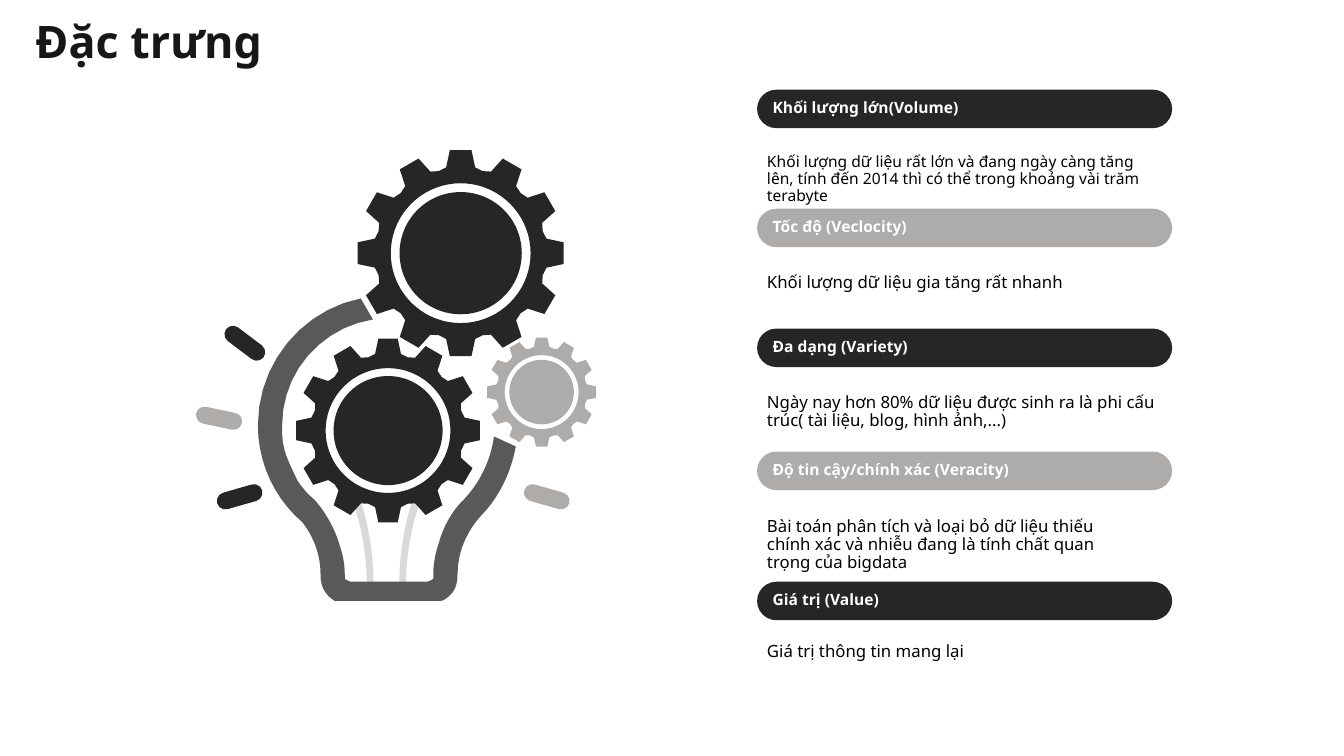
from math import cos, pi, sin

from pptx import Presentation
from pptx.dml.color import RGBColor
from pptx.enum.shapes import MSO_SHAPE as SHAPE
from pptx.enum.text import MSO_ANCHOR as ANCHOR, MSO_AUTO_SIZE as AUTO, PP_ALIGN as ALIGN
from pptx.util import Cm, Pt

FONT = "Noto Sans"
WHITE = RGBColor(0xFF, 0xFF, 0xFF)
BLACK = RGBColor(0x00, 0x00, 0x00)
INK = RGBColor(0x18, 0x17, 0x17)
DARK = RGBColor(0x26, 0x26, 0x26)
MID = RGBColor(0x59, 0x59, 0x59)
SILVER = RGBColor(0xAE, 0xAB, 0xAB)
PALE = RGBColor(0xD9, 0xD9, 0xD9)

# Heading, heading top, text, text top, text width, text size
FEATURES = [
    ("Khối lượng lớn(Volume)", 0,
     "Khối lượng dữ liệu rất lớn và đang ngày càng tăng lên, "
     "tính đến 2014 thì có thể trong khoảng vài trăm terabyte", 1.5, 10.46, 11.1),
    ("Tốc độ (Veclocity)", 3,
     "Khối lượng dữ liệu gia tăng rất nhanh", 4.52, 10.46, 12),
    ("Đa dạng (Variety)", 6.02,
     "Ngày nay hơn 80% dữ liệu được sinh ra là phi cấu trúc"
     "( tài liệu, blog, hình ảnh,...)", 7.54, 10.46, 12),
    ("Độ tin cậy/chính xác (Veracity)", 9.12,
     "Bài toán phân tích và loại bỏ dữ liệu thiếu chính xác và nhiễu "
     "đang là tính chất quan trọng của bigdata", 10.67, 9.7, 12),
    ("Giá trị (Value)", 12.4, "Giá trị thông tin mang lại", 13.82, 9.7, 12),
]

# Outlines in cm: two numbers are a corner, six are a Bézier curve
FILAMENT = [
    (4.42, 11.81), (4.25, 11.81), (4.25, 10.34, 3.81, 9.45, 3.79, 9.42),
    (3.97, 9.34), (3.99, 9.37, 4.42, 10.28, 4.42, 11.81),
]
BULB = [
    # Inner edge, from the right tip round to the left tip
    (7.45, 8), (7.37, 8.61, 7.09, 9.17, 6.68, 9.6), (6.63, 9.65),
    (6.53, 9.75, 6.2, 10.13, 6.05, 10.72), (5.97, 10.94, 5.92, 11.22, 5.92, 11.5),
    (5.92, 11.58), (5.9, 11.61, 5.85, 11.63, 5.77, 11.66), (3.84, 11.66),
    (3.76, 11.63, 3.71, 11.61, 3.69, 11.58), (3.69, 11.5),
    (3.69, 11.22, 3.64, 10.97, 3.56, 10.74), (3.43, 10.28, 3.2, 9.95, 3.08, 9.78),
    (2.95, 9.62), (2.85, 9.52, 2.75, 9.45, 2.67, 9.34),
    (2.57, 9.22, 2.49, 9.12, 2.44, 8.99), (2.32, 8.73, 2.19, 8.48, 2.14, 8.2),
    (2.11, 8.05, 2.11, 7.87, 2.11, 7.72), (2.11, 6.37, 3.1, 5.26, 4.4, 5.05),
    # Outer edge, back to the right tip
    (4.09, 4.52), (2.62, 4.82, 1.5, 6.14, 1.5, 7.72),
    (1.5, 8.68, 1.93, 9.57, 2.62, 10.16), (2.8, 10.39, 3.08, 10.84, 3.08, 11.48),
    (3.08, 11.63, 3.1, 11.81, 3.23, 11.96), (3.28, 12.04, 3.36, 12.09, 3.43, 12.14),
    (6.13, 12.14), (6.23, 12.11, 6.3, 12.04, 6.38, 11.96),
    (6.51, 11.81, 6.53, 11.63, 6.53, 11.48), (6.53, 10.61, 7.07, 10.06, 7.12, 10),
    (7.57, 9.55, 7.88, 8.91, 8, 8.25),
]
# Centre x, centre y, radius, colour
GEARS = [(6.61, 3.38, 2.61, DARK), (4.78, 7.85, 2.33, DARK), (8.65, 6.88, 1.38, SILVER)]
# Centre x, centre y, angle, colour
RAYS = [(1.17, 5.65, 37, DARK), (0.52, 7.54, 12, SILVER),
        (1.04, 9.52, -16, DARK), (8.78, 9.52, 16, SILVER)]


def write(sp, text, size=12, color=BLACK, bold=False, anchor=ANCHOR.TOP):
    tf = sp.text_frame
    tf.word_wrap = True
    tf.auto_size = AUTO.NONE
    tf.vertical_anchor = anchor
    p = tf.paragraphs[0]
    p.alignment = ALIGN.LEFT
    p.line_spacing = 0.9
    r = p.add_run()
    r.text = text
    r.font.name, r.font.size, r.font.bold = FONT, Pt(size), bold
    r.font.color.rgb = color


def paint(sp, color):
    sp.shadow.inherit = False
    sp.fill.solid()
    sp.fill.fore_color.rgb = color
    sp.line.fill.background()
    return sp


def add_preset(slide, kind, x, y, w, h, color):
    return paint(slide.shapes.add_shape(kind, Cm(x), Cm(y), Cm(w), Cm(h)), color)


def trace(outline, steps=10):
    """Turn corners and Bézier curves into points."""
    points = []
    for part in outline:
        if len(part) == 2:
            points.append(part)
            continue
        x0, y0 = points[-1]
        x1, y1, x2, y2, x3, y3 = part
        for i in range(1, steps + 1):
            t = i / steps
            u = 1 - t
            a, b, c, d = u ** 3, 3 * u * u * t, 3 * u * t * t, t ** 3
            points.append((a * x0 + b * x1 + c * x2 + d * x3,
                           a * y0 + b * y1 + c * y2 + d * y3))
    return points


def add_outline(slide, left, top, contours, color):
    placed = [[(Cm(left + x), Cm(top + y)) for x, y in c] for c in contours]
    fb = slide.shapes.build_freeform(*placed[0][0])
    for i, points in enumerate(placed):
        if i:
            fb.move_to(*points[0])
        fb.add_line_segments(points[1:], close=True)
    paint(fb.convert_to_shape(), color)


def polar(cx, cy, radius, degrees):
    a = degrees * pi / 180
    return cx + radius * sin(a), cy - radius * cos(a)


def add_gear(slide, left, top, cx, cy, radius, color, teeth=12):
    profile = [(-9.6, 0.84), (-6, 1), (6, 1), (9.6, 0.84), (15, 0.82)]
    rim = [polar(cx, cy, radius * k, tooth * 360 / teeth + a)
           for tooth in range(teeth) for a, k in profile]
    hole = [polar(cx, cy, radius * 0.675, -a) for a in range(0, 360, 5)]
    add_outline(slide, left, top, [rim, hole], color)
    hub = radius * 0.59
    add_preset(slide, SHAPE.OVAL, left + cx - hub, top + cy - hub, 2 * hub, 2 * hub, color)


def add_lamp(slide, left, top):
    # Filaments, the right one mirrored
    wire = trace(FILAMENT)
    for points in (wire, [(9.48 - x, y) for x, y in wire]):
        add_outline(slide, left, top, [points], PALE)
    for gear in GEARS:
        add_gear(slide, left, top, *gear)
    # Light rays
    w, h = 1.18, 0.43
    for cx, cy, angle, color in RAYS:
        sp = add_preset(slide, SHAPE.ROUNDED_RECTANGLE,
                        left + cx - w / 2, top + cy - h / 2, w, h, color)
        sp.adjustments[0] = 0.5
        sp.rotation = angle
    add_outline(slide, left, top, [trace(BULB)], MID)


def add_features(slide, left, top, width):
    for i, (heading, y, text, text_y, text_w, size) in enumerate(FEATURES):
        sp = add_preset(slide, SHAPE.ROUNDED_RECTANGLE, left, top + y, width, 0.97,
                        SILVER if i % 2 else DARK)
        sp.adjustments[0] = 0.5
        write(sp, heading, size=11.1, color=WHITE, bold=True, anchor=ANCHOR.MIDDLE)
        box = slide.shapes.add_textbox(Cm(left), Cm(top + text_y), Cm(text_w), Cm(1.55))
        write(box, text, size=size)


def add_title(slide, left, top, width, height):
    sp = slide.shapes.title
    sp.left, sp.top, sp.width, sp.height = Cm(left), Cm(top), Cm(width), Cm(height)
    write(sp, "Đặc trưng", size=32, color=INK, bold=True)


def main():
    prs = Presentation()
    prs.slide_width, prs.slide_height = Cm(33.87), Cm(19.05)
    slide = prs.slides.add_slide(prs.slide_layouts[5])
    add_title(slide, 0.64, 0.38, 16.94, 1.63)
    add_lamp(slide, 5, 3)
    add_features(slide, 19.08, 2.26, 10.46)
    prs.save("out.pptx")


if __name__ == "__main__":
    main()
